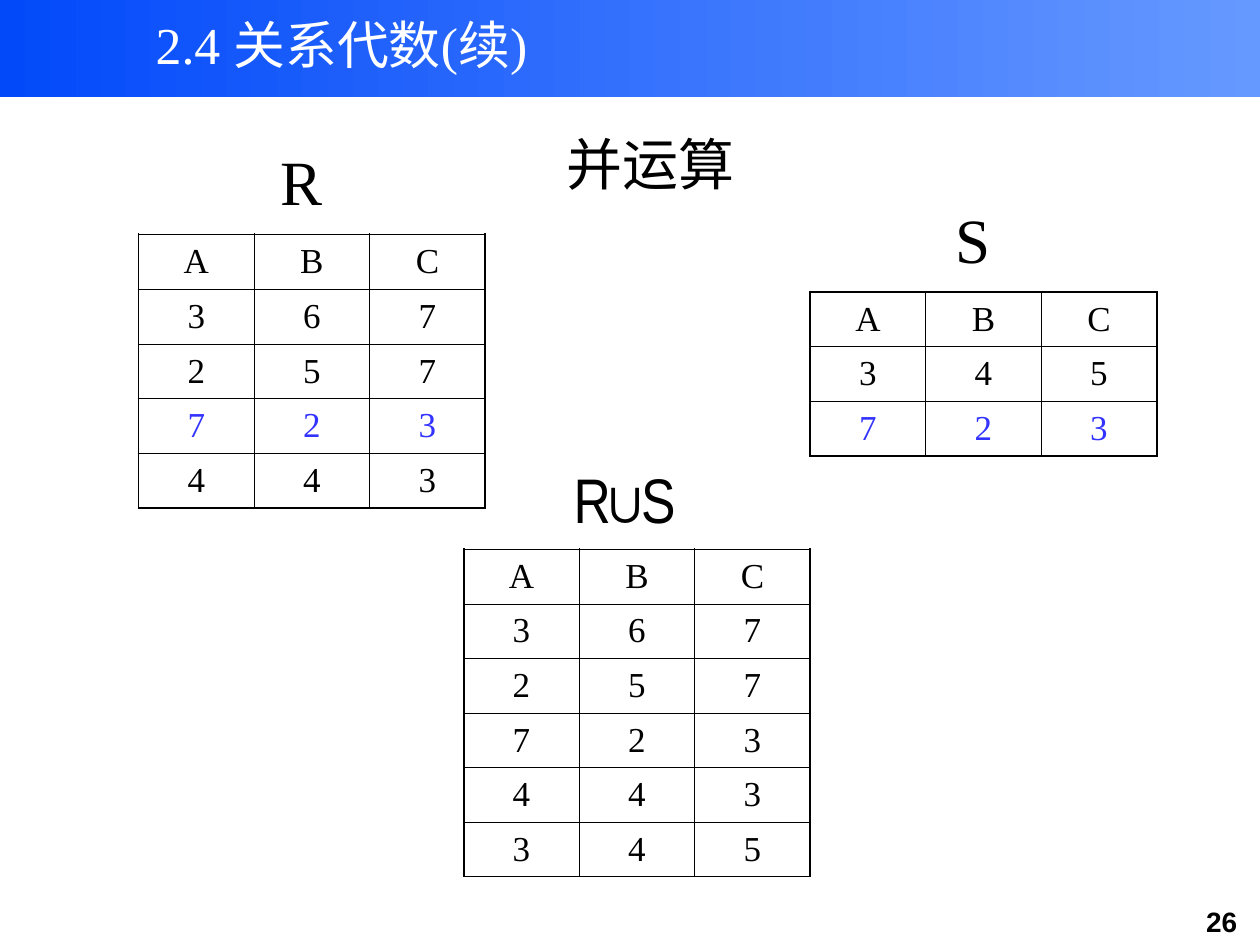
from dataclasses import dataclass

import lxml.etree
import pptx
import pptx.dml.color
import pptx.enum.shapes
import pptx.enum.text
import pptx.oxml.ns
import pptx.util

Inches = pptx.util.Inches
ANCHOR = pptx.enum.text.MSO_ANCHOR
COLORS = {"band_start": "0249FA", "band_end": "6699FF", "white": "FFFFFF",
          "black": "000000", "shared": "3333FF"}
SERIF = "Times New Roman"
OUTER, INNER = 1.08, 0.45  # border widths in points


@dataclass
class Label:
    text: str
    box: tuple[float, float, float, float]
    size: float
    font: str = SERIF
    color: str = "black"
    bold: bool = False
    anchor: ANCHOR = ANCHOR.TOP
    top_inset: float = 0.05


@dataclass
class Relation:
    left: float
    top: float
    row_height: float
    rows: list[str]
    shared_row: int | None = None  # tuple found in both R and S
    column_width: float = 0.917


def rgb(name: str) -> pptx.dml.color.RGBColor:
    return pptx.dml.color.RGBColor.from_string(COLORS[name])


def write(frame, text: str, size: float, font: str = SERIF,
          color: str = "black", bold: bool = False) -> None:
    paragraph = frame.paragraphs[0]
    paragraph.alignment = pptx.enum.text.PP_ALIGN.CENTER
    run = paragraph.add_run()
    run.text = text
    formats = {"size": pptx.util.Pt(size), "name": font, "bold": bold}
    for attribute, value in formats.items():
        setattr(run.font, attribute, value)
    run.font.color.rgb = rgb(color)


def fill_label(shape, label: Label) -> None:
    places = zip(("left", "top", "width", "height"), label.box)
    for attribute, value in places:
        setattr(shape, attribute, Inches(value))
    frame = shape.text_frame
    formats = {"word_wrap": False, "auto_size": pptx.enum.text.MSO_AUTO_SIZE.NONE,
               "vertical_anchor": label.anchor, "margin_top": Inches(label.top_inset)}
    for attribute, value in formats.items():
        setattr(frame, attribute, value)
    write(frame, label.text, label.size, label.font, label.color, label.bold)


def add_border(cell, side: str, width: float) -> None:
    qn = pptx.oxml.ns.qn
    line = lxml.etree.SubElement(cell._tc.get_or_add_tcPr(), qn(f"a:ln{side}"),
                                 w=str(pptx.util.Pt(width)))
    solid = lxml.etree.SubElement(line, qn("a:solidFill"))
    lxml.etree.SubElement(solid, qn("a:srgbClr"), val=COLORS["black"])


def add_relation(slide, relation: Relation) -> None:
    row_count, column_count = len(relation.rows), len(relation.rows[0])
    table = slide.shapes.add_table(
        row_count, column_count, Inches(relation.left), Inches(relation.top),
        Inches(relation.column_width * column_count),
        Inches(relation.row_height * row_count)).table
    table.first_row = table.horz_banding = False
    for r, values in enumerate(relation.rows):
        for c, value in enumerate(values):
            cell = table.cell(r, c)
            cell.vertical_anchor = ANCHOR.MIDDLE
            color = "shared" if r == relation.shared_row else "black"
            write(cell.text_frame, value, 20, color=color)
            on_edge = {"L": c == 0, "R": c == column_count - 1,
                       "T": r == 0, "B": r == row_count - 1}
            for side, outer in on_edge.items():
                add_border(cell, side, OUTER if outer else INNER)
            cell.fill.background()


def add_band(slide) -> None:
    band = slide.shapes.add_shape(pptx.enum.shapes.MSO_SHAPE.RECTANGLE,
                                  0, 0, Inches(10), Inches(0.77))
    band.shadow.inherit = False
    band.line.fill.background()
    band.fill.gradient()
    band.fill.gradient_angle = 0
    for stop, name in zip(band.fill.gradient_stops, ("band_start", "band_end")):
        stop.color.rgb = rgb(name)
    slide.shapes._spTree.insert(2, band._element)  # behind the title


TITLE = Label("2.4 关系代数(续)", (0.92, 0.01, 3.58, 0.67), 29.6,
              color="white", anchor=ANCHOR.MIDDLE)
LABELS = [
    Label("并运算", (3.33, 0.75, 3.67, 0.86), 32, anchor=ANCHOR.BOTTOM),
    Label("R", (1.93, 1.03, 0.92, 0.7), 36, top_inset=0.1),
    Label("S", (7.26, 1.49, 0.92, 0.7), 36, top_inset=0.1),
    Label("R∪S ", (4.35, 3.61, 1.33, 0.7), 36, font="Arial Narrow"),
    Label("26", (9.39, 7.13, 0.61, 0.37), 16, font="Arial", bold=True),
]
RELATIONS = [
    Relation(1.1, 1.86, 0.435, ["ABC", "367", "257", "723", "443"], shared_row=3),
    Relation(6.43, 2.32, 0.433, ["ABC", "345", "723"], shared_row=2),
    Relation(3.68, 4.36, 0.433, ["ABC", "367", "257", "723", "443", "345"]),
]


def main() -> None:
    deck = pptx.Presentation()
    deck.slide_width, deck.slide_height = Inches(10), Inches(7.5)
    slide = deck.slides.add_slide(deck.slide_layouts[5])

    # Title band
    add_band(slide)
    fill_label(slide.shapes.title, TITLE)

    # Relations R, S and their union
    for relation in RELATIONS:
        add_relation(slide, relation)

    # Headings and page number
    for label in LABELS:
        fill_label(slide.shapes.add_textbox(0, 0, 0, 0), label)

    deck.save("out.pptx")


if __name__ == "__main__":
    main()
